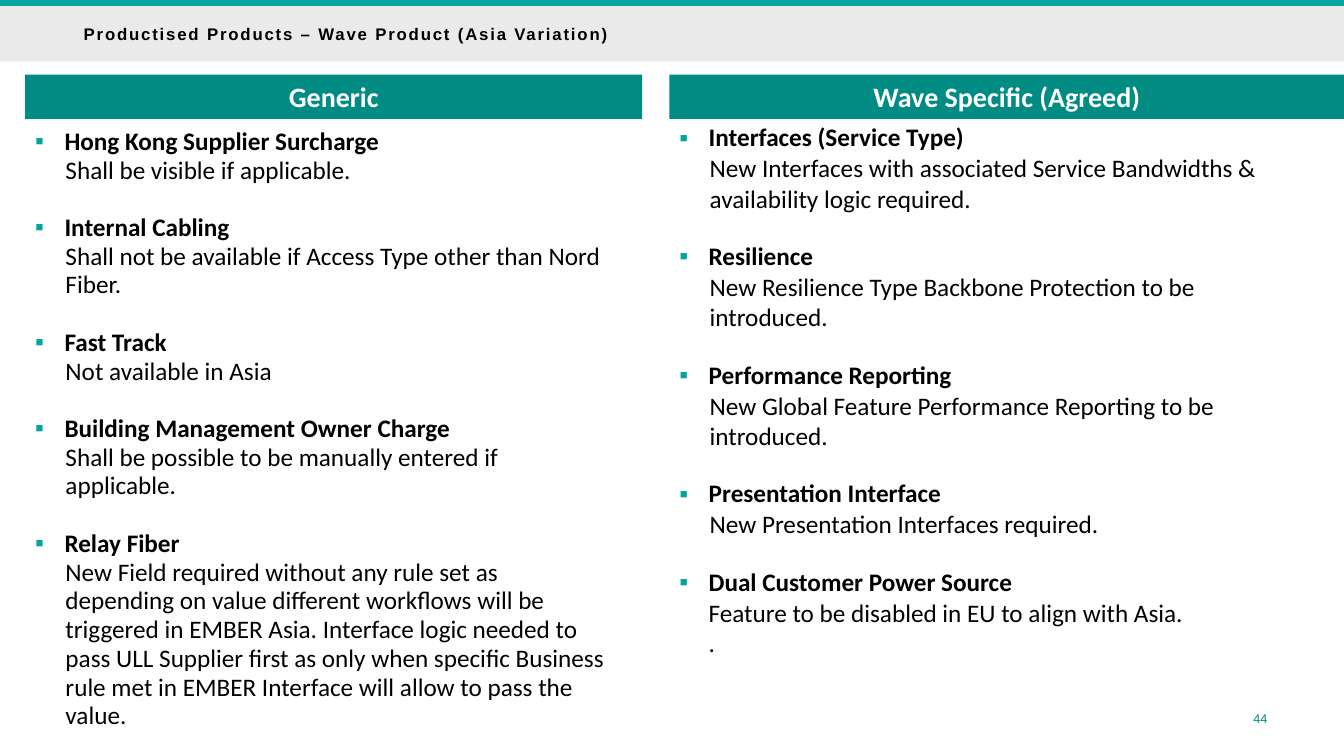
import lxml.etree
import pptx
import pptx.dml.color
import pptx.enum.shapes
import pptx.enum.text
import pptx.oxml.ns
import pptx.util

Inches = pptx.util.Inches
Pt = pptx.util.Pt
RGBColor = pptx.dml.color.RGBColor
ALIGN = pptx.enum.text.PP_ALIGN
ANCHOR = pptx.enum.text.MSO_ANCHOR
AUTO_SIZE = pptx.enum.text.MSO_AUTO_SIZE
qn = pptx.oxml.ns.qn

TEAL = RGBColor(0x00, 0xA5, 0x9B)
DARK_TEAL = RGBColor(0x00, 0x8C, 0x83)
GREY = RGBColor(0xE9, 0xE9, 0xE9)
BLACK = RGBColor(0x00, 0x00, 0x00)
WHITE = RGBColor(0xFF, 0xFF, 0xFF)

TIGHT = 0.95
HEADING_INDENT = 0.29
DETAIL_INDENT = 0.3

GENERIC_ITEMS = [
    ("Hong Kong Supplier Surcharge", ["Shall be visible if applicable."]),
    ("Internal Cabling", ["Shall not be available if Access Type other than Nord Fiber."]),
    ("Fast Track", ["Not available in Asia"]),
    ("Building Management Owner Charge",
     ["Shall be possible to be manually entered if applicable."]),
    ("Relay Fiber",
     ["New Field required without any rule set as depending on value different "
      "workflows will be triggered in EMBER Asia. Interface logic needed to pass ULL "
      "Supplier first as only when specific Business rule met in EMBER Interface will "
      "allow to pass the value."]),
]
WAVE_ITEMS = [
    ("Interfaces (Service Type)",
     ["New Interfaces with associated Service Bandwidths & availability logic required."]),
    ("Resilience", ["New Resilience Type Backbone Protection to be introduced."]),
    ("Performance Reporting",
     ["New Global Feature Performance Reporting to be introduced."]),
    ("Presentation Interface", ["New Presentation Interfaces required."]),
    ("Dual Customer Power Source",
     ["Feature to be disabled in EU to align with Asia.", "."]),
]


def apply_format(target, values):
    for name, value in values.items():
        setattr(target, name, value)


def inset(left=0.0, top=0.0, right=0.0, bottom=0.0):
    return {"margin_left": Inches(left), "margin_top": Inches(top),
            "margin_right": Inches(right), "margin_bottom": Inches(bottom)}


def add_run(paragraph, text, size, face, color, bold=False):
    run = paragraph.add_run()
    run.text = text
    apply_format(run.font, {"size": Pt(size), "name": face, "bold": bold})
    run.font.color.rgb = color
    return run


def add_bar(slide, left, top, width, height, color):
    bar = slide.shapes.add_shape(
        pptx.enum.shapes.MSO_SHAPE.RECTANGLE,
        Inches(left), Inches(top), Inches(width), Inches(height))
    bar.shadow.inherit = False
    bar.fill.solid()
    bar.fill.fore_color.rgb = color
    bar.line.fill.background()
    return bar


def add_column_header(slide, text, left, width):
    header = add_bar(slide, left, 0.74, width, 0.44, DARK_TEAL)
    apply_format(header.text_frame, {
        "word_wrap": True, "vertical_anchor": ANCHOR.TOP,
        "auto_size": AUTO_SIZE.SHAPE_TO_FIT_TEXT})
    paragraph = header.text_frame.paragraphs[0]
    paragraph.alignment = ALIGN.CENTER
    add_run(paragraph, text, 20, "Calibri", WHITE, True)


def add_text_box(slide, left, top, width, height, frame_format):
    box = slide.shapes.add_textbox(
        Inches(left), Inches(top), Inches(width), Inches(height))
    apply_format(box.text_frame, {"word_wrap": True, **frame_format})
    return box.text_frame


def set_indent(paragraph, margin, first_line=0.0):
    properties = paragraph._p.get_or_add_pPr()
    properties.set("marL", str(Inches(margin)))
    properties.set("indent", str(Inches(first_line)))
    return properties


def add_bullet(properties):
    color = lxml.etree.SubElement(properties, qn("a:buClr"))
    lxml.etree.SubElement(color, qn("a:srgbClr"), val=str(TEAL))
    lxml.etree.SubElement(properties, qn("a:buFont"), typeface="Arial")
    lxml.etree.SubElement(properties, qn("a:buChar"), char="▪")


def fill_items(frame, items, gap, detail_spacing):
    for index, (heading, details) in enumerate(items):
        paragraph = frame.add_paragraph() if index else frame.paragraphs[0]
        add_bullet(set_indent(paragraph, HEADING_INDENT, -HEADING_INDENT))
        paragraph.line_spacing = TIGHT
        if index:
            paragraph.space_before = Pt(gap)
        add_run(paragraph, heading, 18, "Calibri", BLACK, True)
        margin = DETAIL_INDENT if len(details) == 1 else HEADING_INDENT
        for detail in details:
            paragraph = frame.add_paragraph()
            paragraph.level = 1
            set_indent(paragraph, margin)
            paragraph.line_spacing = detail_spacing
            add_run(paragraph, detail, 18, "Calibri", BLACK)


def format_title(title, text):
    apply_format(title, {"left": Inches(0), "top": Inches(0.06),
                         "width": Inches(13.33), "height": Inches(0.55)})
    title.fill.solid()
    title.fill.fore_color.rgb = GREY
    fill_color = title.fill._xPr.find(qn("a:solidFill"))[0]
    lxml.etree.SubElement(fill_color, qn("a:alpha"), val="95000")
    apply_format(title.text_frame, {
        "word_wrap": True, "auto_size": AUTO_SIZE.NONE,
        "vertical_anchor": ANCHOR.MIDDLE, **inset(left=0.83)})
    paragraph = title.text_frame.paragraphs[0]
    paragraph.alignment = ALIGN.LEFT
    run = add_run(paragraph, text, 12, "Arial", BLACK, True)
    run._r.get_or_add_rPr().set("spc", "130")


def add_page_number(slide, number):
    frame = add_text_box(slide, 12.14, 7.06, 0.43, 0.14,
                         {"vertical_anchor": ANCHOR.MIDDLE, **inset()})
    paragraph = frame.paragraphs[0]
    paragraph.alignment = ALIGN.RIGHT
    add_run(paragraph, number, 9, "Arial", DARK_TEAL)


def main():
    deck = pptx.Presentation()
    apply_format(deck, {"slide_width": Inches(13.33), "slide_height": Inches(7.5)})
    slide = deck.slides.add_slide(deck.slide_layouts[5])

    add_bar(slide, 0, 0, 13.33, 0.06, TEAL)
    format_title(slide.shapes.title, "Productised Products – Wave Product (Asia Variation)")
    add_page_number(slide, "44")

    generic = add_text_box(slide, 0.27, 1.31, 5.87, 5.89, {
        "vertical_anchor": ANCHOR.MIDDLE, **inset(left=0.08, right=0.08)})
    fill_items(generic, GENERIC_ITEMS, 20.5, TIGHT)
    add_column_header(slide, "Generic", 0.25, 6.12)

    wave = add_text_box(slide, 6.64, 1.18, 6.52, 5.48,
                        {"auto_size": AUTO_SIZE.SHAPE_TO_FIT_TEXT})
    fill_items(wave, WAVE_ITEMS, 21, 1.0)
    add_column_header(slide, "Wave Specific (Agreed)", 6.64, 6.69)

    deck.save("out.pptx")


if __name__ == "__main__":
    main()
